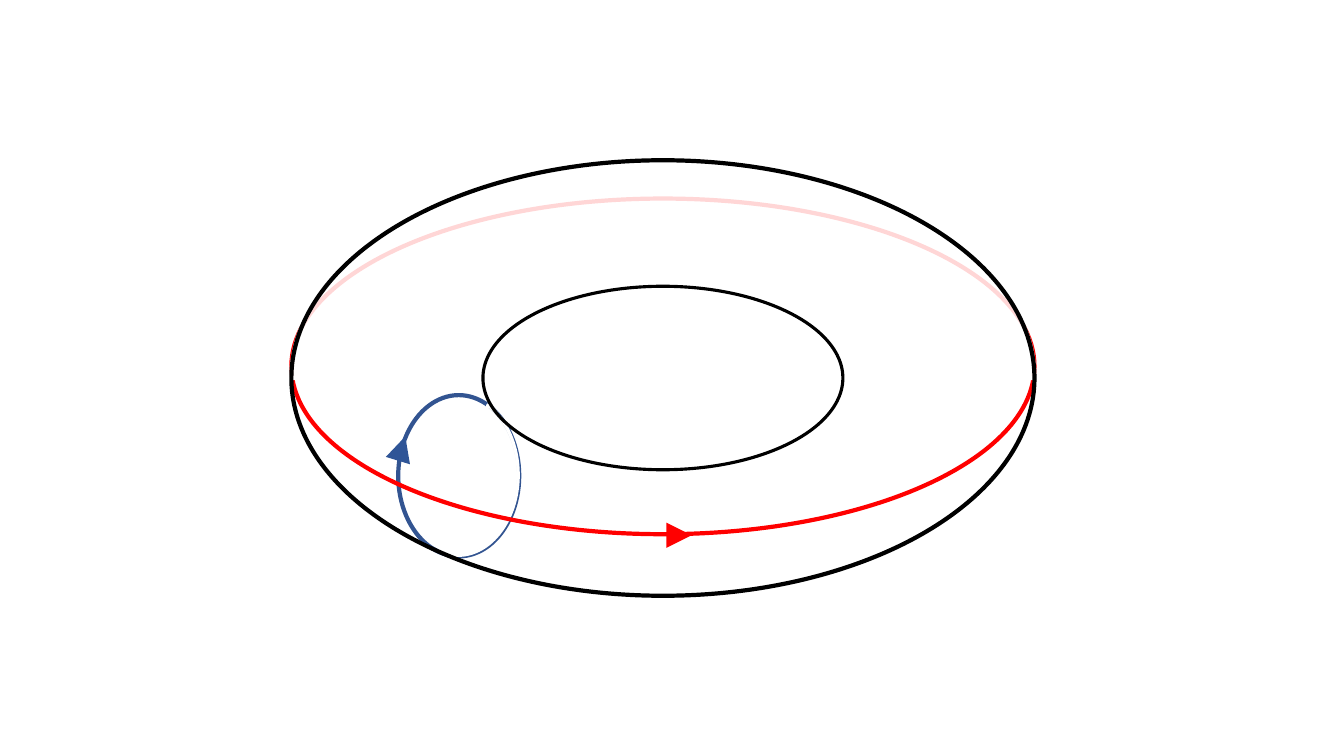
from itertools import pairwise
from math import cos, radians, sin, tan

from lxml import etree
from pptx import Presentation
from pptx.dml.color import RGBColor
from pptx.enum.shapes import MSO_CONNECTOR, MSO_SHAPE
from pptx.oxml.ns import qn
from pptx.util import Inches, Pt

ELLIPSE = MSO_SHAPE.OVAL
STRAIGHT = MSO_CONNECTOR.STRAIGHT
BLACK, WHITE, RED = "000000", "FFFFFF", "FF0000"
BLUE, DARK_BLUE = "325491", "2F5597"
CENTER_X = 6.575
OUTER = (CENTER_X, 3.75, 3.685, 2.16)
HOLE = (CENTER_X, 3.75, 1.785, 0.91)
LONGITUDE = (CENTER_X, 3.635, 3.685, 1.665)
MERIDIAN = (4.55, 4.72, 0.6, 0.8)
MERIDIAN_VEIL = (4.54, 4.71, 0.6, 0.8)


def rgb(hex_color):
    """Turn a hex string into a colour."""
    return RGBColor.from_string(hex_color)


def set_line(shape, color, width):
    """Give a shape or connector a solid line."""
    shape.line.color.rgb = rgb(color)
    shape.line.width = Pt(width)


def add_ellipse(torus, curve, color, width):
    """Draw an unfilled ellipse from its centre and radii."""
    cx, cy, rx, ry = curve
    box = (cx - rx, cy - ry, 2 * rx, 2 * ry)
    sp = torus.shapes.add_shape(ELLIPSE, *map(Inches, box))
    sp.shadow.inherit = False
    sp.fill.background()
    set_line(sp, color, width)


def arc_points(curve, angles):
    """Return the start and the Bezier points of an arc split at the angles."""
    cx, cy, rx, ry = curve

    def place(a, k):
        """Locate a point at an angle, moved k along the tangent."""
        x, y = cos(a) - k * sin(a), sin(a) + k * cos(a)
        return Inches(cx + rx * x), Inches(cy + ry * y)

    turns = [radians(angle) for angle in angles]
    points = [place(turns[0], 0)]
    for a, b in pairwise(turns):
        k = 4 / 3 * tan((b - a) / 4)
        points += [place(a, k), place(b, -k), place(b, 0)]
    return points


def curve_segments(sp):
    """Merge each three straight segments of a freeform into one Bezier curve."""
    segments = list(sp._element.iter(qn("a:lnTo")))
    for first, second, third in zip(segments[::3], segments[1::3], segments[2::3]):
        first.tag = qn("a:cubicBezTo")
        for other in (second, third):
            first.append(other[0])
            other.getparent().remove(other)


def add_veil(torus, curve, angles, width):
    """Fade the part of an ellipse beyond a chord with translucent white."""
    points = arc_points(curve, angles)
    outline = torus.shapes.build_freeform(*points[0])
    outline.add_line_segments(points[1:], close=False)
    sp = outline.convert_to_shape()
    curve_segments(sp)
    etree.SubElement(next(sp._element.iter(qn("a:moveTo"))).getparent(), qn("a:close"))
    sp.shadow.inherit = False
    sp.fill.solid()
    sp.fill.fore_color.rgb = rgb(WHITE)
    fill_color = sp._element.spPr.find(qn("a:solidFill"))[0]
    etree.SubElement(fill_color, qn("a:alpha"), val="84000")
    set_line(sp, WHITE, width)


def add_arrow(torus, start, end, color):
    """Draw a short direction arrow."""
    arrow = torus.shapes.add_connector(STRAIGHT, *map(Inches, start + end))
    set_line(arrow, color, 6)
    etree.SubElement(arrow.line._get_or_add_ln(), qn("a:tailEnd"), type="triangle")
    etree.SubElement(arrow._element.spPr, qn("a:effectLst"))


def main():
    """Build the torus with its two generating loops."""
    prs = Presentation()
    prs.slide_width, prs.slide_height = Inches(13.33), Inches(7.5)
    s = prs.slides.add_slide(prs.slide_layouts[6])
    torus = s.shapes.add_group_shape()
    add_ellipse(torus, MERIDIAN, BLUE, 3)
    add_veil(torus, MERIDIAN_VEIL, (-60, 0, 90, 108), 2.25)
    add_ellipse(torus, LONGITUDE, RED, 3)
    add_veil(torus, OUTER, (180, 270, 360), 3)
    add_ellipse(torus, HOLE, BLACK, 2.25)
    add_ellipse(torus, OUTER, BLACK, 3)
    add_arrow(torus, (6.67, 5.31), (6.86, 5.31), RED)
    add_arrow(torus, (3.98, 4.46), (4.02, 4.33), DARK_BLUE)
    prs.save("out.pptx")


main()
